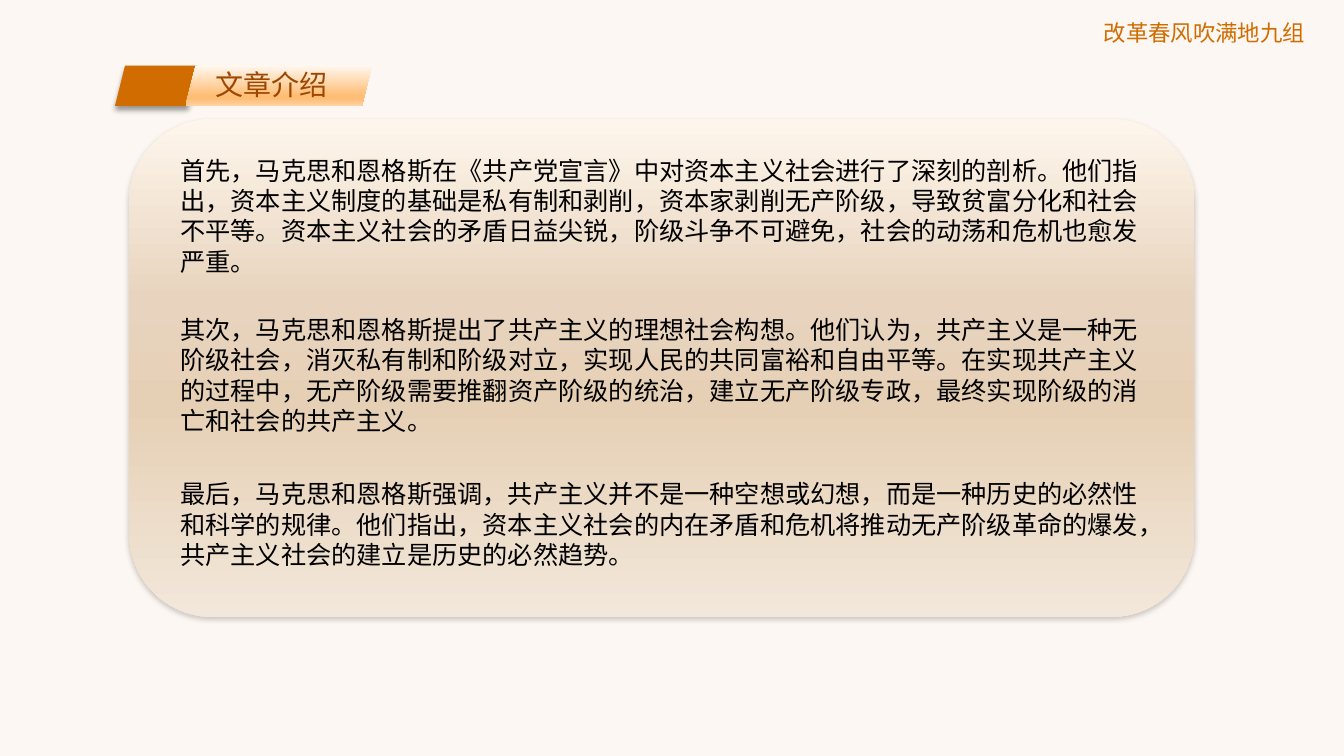
from dataclasses import dataclass

from lxml.etree import SubElement
from pptx import Presentation
from pptx.dml.color import RGBColor as Rgb
from pptx.enum.shapes import MSO_SHAPE as Kind
from pptx.oxml.ns import qn
from pptx.util import Inches, Pt


@dataclass(frozen=True)
class Theme:
    accent: str = "D06C00"
    title: str = "9D4700"
    ink: str = "000000"
    card: tuple = ((0, "FEF6EC"), (36, "E8D4BE"), (58, "E6D0B5"), (100, "F2E7DA"))
    band: tuple = ((0, "FFF8F0"), (74, "FFBE77"), (83, "FFBE77"), (100, "FFD3A4"))
    sans: str = "Arial"
    body: str = "Lato"
    small: int = 16
    text: int = 18
    large: int = 20


class Page:
    def __init__(self, deck, theme):
        self.theme = theme
        self.slide = deck.slides.add_slide(deck.slide_layouts[6])

    def tint(self, parent, color, alpha):
        node = SubElement(parent, qn("a:srgbClr"), val=color)
        if alpha < 100:
            SubElement(node, qn("a:alpha"), val=str(alpha * 1000))

    def shape(self, kind, box, fill, alpha=100, shade=None, turn=0, home=None):
        """Draw a lineless shape; fill is one colour or a tuple of gradient stops."""
        item = (home or self.slide).shapes.add_shape(kind, *map(Inches, box))
        item.rotation = turn
        props = item.element.spPr
        if isinstance(fill, str):
            item.fill.solid()
            solid = props.find(qn("a:solidFill"))
            self.tint(solid, fill, alpha)
        else:
            item.fill.gradient()
            item.fill.gradient_angle = 270
            stops = props.find(qn("a:gradFill")).find(qn("a:gsLst"))
            for old in list(stops):
                stops.remove(old)
            for spot, color in fill:
                stop = SubElement(stops, qn("a:gs"), pos=str(spot * 1000))
                self.tint(stop, color, 100)
        item.line.fill.background()
        item.shadow.inherit = False
        if shade:
            self.shade(props.find(qn("a:effectLst")), *shade)
        return item

    def shade(self, parent, alpha, blur, drop):
        """Add a shadow that falls straight down; blur and drop are in points."""
        node = SubElement(parent, qn("a:outerShdw"), blurRad=str(Pt(blur)),
                          dist=str(Pt(drop)), dir="5400000", rotWithShape="0")
        self.tint(node, self.theme.ink, alpha)

    def label(self, text, box, face, size, color, after=0):
        frame = self.slide.shapes.add_textbox(*map(Inches, box)).text_frame
        frame.word_wrap = True
        para = frame.paragraphs[0]
        para.space_after = Pt(after)
        run = para.add_run()
        run.text = text
        for key, value in {"name": face, "size": Pt(size)}.items():
            setattr(run.font, key, value)
        run.font.color.rgb = Rgb.from_string(color)
        props = run.font._element
        SubElement(props, qn("a:ea"), typeface=face)


BODY = (
    (1.49, 9.75, 1.31, 12,
     "首先，马克思和恩格斯在《共产党宣言》中对资本主义社会进行了深刻的剖析。他们指出，"
     "资本主义制度的基础是私有制和剥削，资本家剥削无产阶级，导致贫富分化和社会不平等。"
     "资本主义社会的矛盾日益尖锐，阶级斗争不可避免，社会的动荡和危机也愈发严重。"),
    (3.07, 9.75, 1.31, 0,
     "其次，马克思和恩格斯提出了共产主义的理想社会构想。他们认为，共产主义是一种无阶级社会，"
     "消灭私有制和阶级对立，实现人民的共同富裕和自由平等。在实现共产主义的过程中，"
     "无产阶级需要推翻资产阶级的统治，建立无产阶级专政，最终实现阶级的消亡和社会的共产主义。"),
    (4.7, 9.84, 1.01, 0,
     "最后，马克思和恩格斯强调，共产主义并不是一种空想或幻想，而是一种历史的必然性和科学的规律。"
     "他们指出，资本主义社会的内在矛盾和危机将推动无产阶级革命的爆发，"
     "共产主义社会的建立是历史的必然趋势。"),
)


def main():
    deck = Presentation()
    deck.slide_width, deck.slide_height = Inches(13.33), Inches(7.5)
    theme = Theme()
    page = Page(deck, theme)

    page.label("改革春风吹满地九组", (10.85, 0.14, 2.4, 0.37),
               theme.sans, theme.small, theme.accent)
    page.shape(Kind.RECTANGLE, (0, 0, 13.33, 7.5), theme.accent, alpha=5)
    page.shape(Kind.ROUNDED_RECTANGLE, (1.28, 1.18, 10.57, 4.94), theme.card,
               shade=(20, 4, 2))
    for top, width, height, after, text in BODY:
        page.label(text, (1.69, top, width, height),
                   theme.body, theme.text, theme.ink, after)

    badge = page.slide.shapes.add_group_shape()
    page.shape(Kind.PARALLELOGRAM, (1.14, 0.65, 0.82, 0.4), theme.accent,
               shade=(40, 4, 3), turn=180, home=badge)
    page.shape(Kind.PARALLELOGRAM, (1.84, 0.65, 1.85, 0.4), theme.band, home=badge)
    page.label("文章介绍", (2.04, 0.62, 1.65, 0.44),
               theme.sans, theme.large, theme.title)

    deck.save("out.pptx")


if __name__ == "__main__":
    main()
